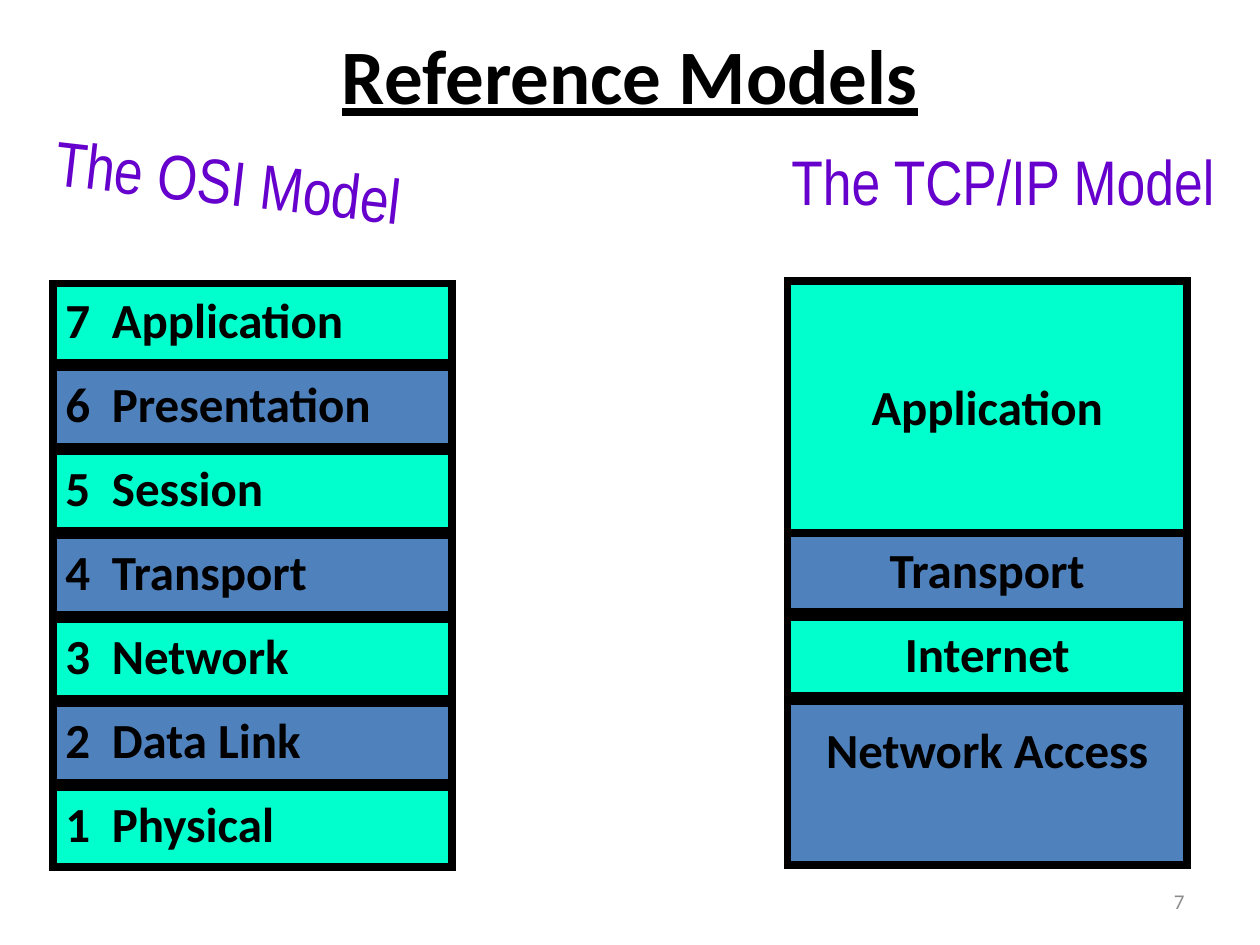
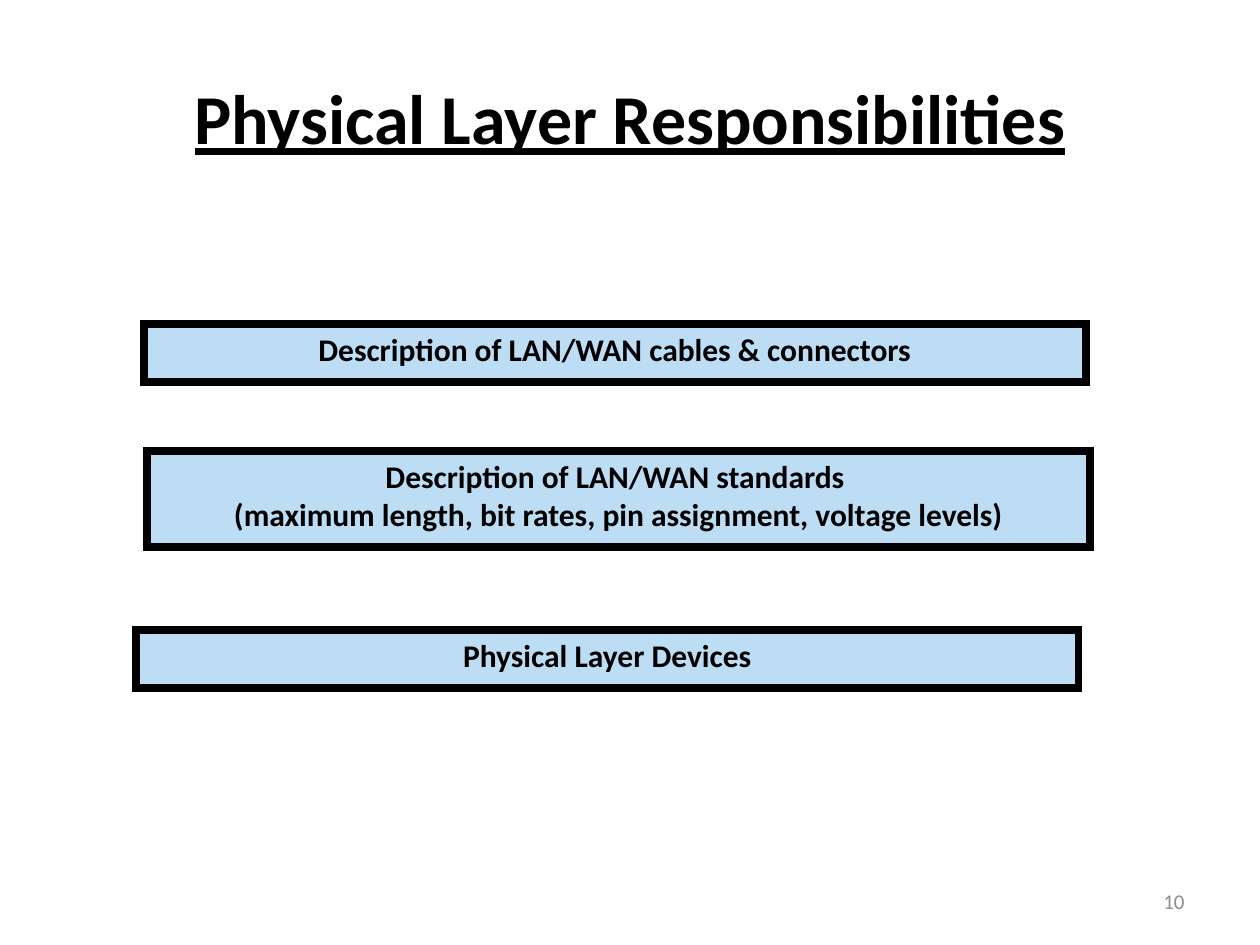
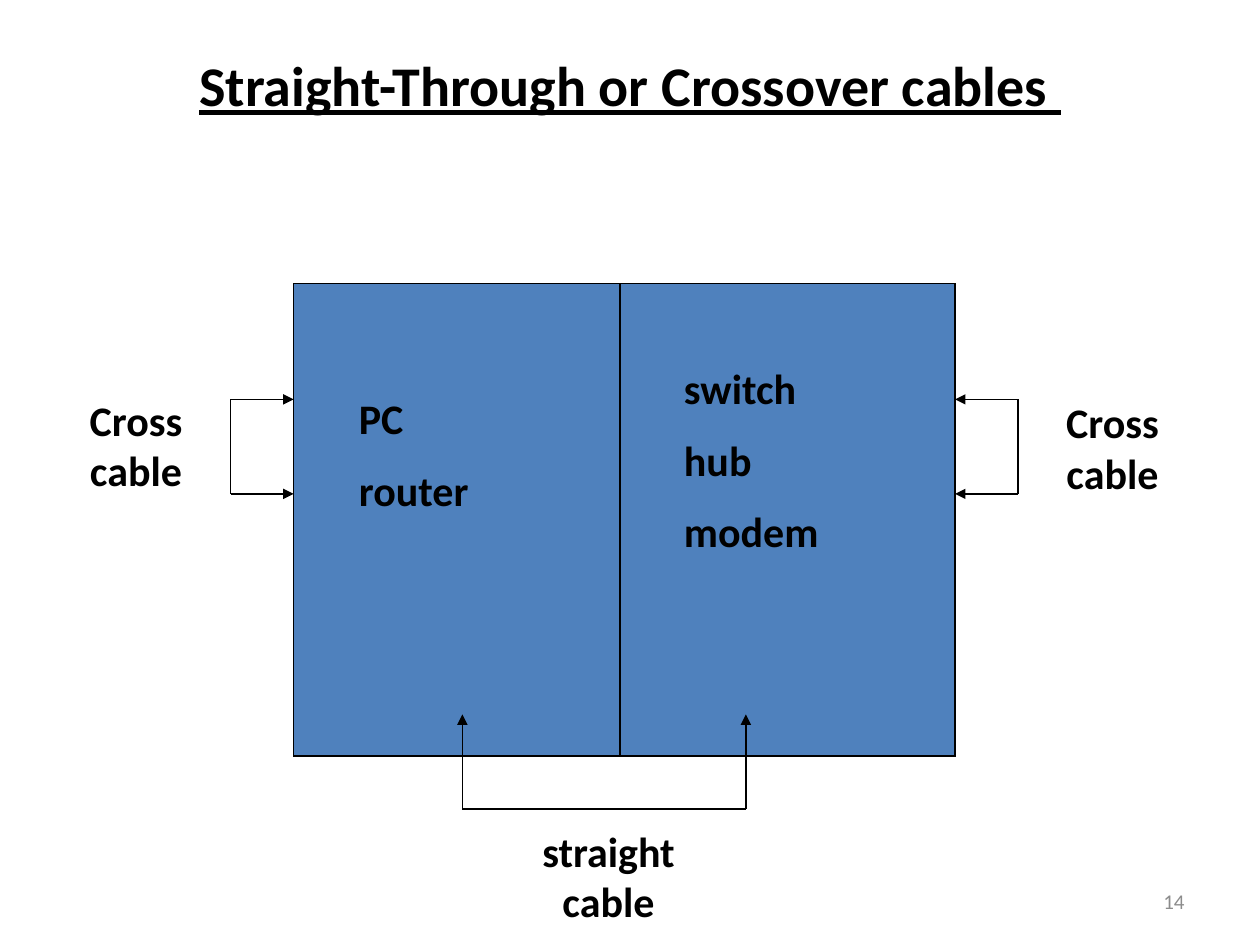
"""Build three slides on network reference models and cabling."""
from lxml import etree
from pptx import Presentation
from pptx.dml.color import RGBColor
from pptx.enum.shapes import MSO_CONNECTOR, MSO_SHAPE
from pptx.enum.text import MSO_ANCHOR, PP_ALIGN
from pptx.oxml.ns import qn
from pptx.util import Inches, Pt

RECTANGLE, STRAIGHT = MSO_SHAPE.RECTANGLE, MSO_CONNECTOR.STRAIGHT
TOP, MIDDLE = MSO_ANCHOR.TOP, MSO_ANCHOR.MIDDLE
LEFT, CENTER, RIGHT = PP_ALIGN.LEFT, PP_ALIGN.CENTER, PP_ALIGN.RIGHT

COLORS = {"ink": "000000", "mint": "00FFCC", "blue": "4F81BD", "sky": "BCDDF4",
          "purple": "6600CC", "number": "8C8C8C"}
BODY = {"name": "Calibri", "bold": True}
TITLE = {**BODY, "underline": True}
LAYER = {**BODY, "size": Pt(28)}
DUTY = {**BODY, "size": Pt(18)}
CABLE = {**BODY, "size": Pt(24)}
HEADING = {"name": "Arial Narrow", "size": Pt(36)}
NUMBER = {"name": "Calibri", "size": Pt(12)}
LAYER_WIDTH = 3.17
LAYER_HEIGHT = 0.63
LAYER_PITCH = 2 / 3
NUMBER_INDENT = 0.37

OSI_LAYERS = ["Application", "Presentation", "Session", "Transport",
              "Network", "Data Link", "Physical"]
TCP_LAYERS = [("Application", 0, 2.03, 0.76), ("Transport", 3, LAYER_HEIGHT, 0.05),
              ("Internet", 4, LAYER_HEIGHT, 0.05), ("Network Access", 5, 1.3, 0.15)]
DUTIES = [
    ((1.14, 2.57, 7.48, 0.46), ["Description of LAN/WAN cables & connectors"]),
    ((1.17, 3.58, 7.48, 0.76),
     ["Description of LAN/WAN standards ",
      "(maximum length, bit rates, pin assignment, voltage levels)"]),
    ((1.08, 5, 7.48, 0.46), ["Physical Layer Devices"]),
]
DEVICES = [((2.75, 3.07, 1.75, 1.1), ["PC", "router"]),
           ((5.33, 2.83, 1.75, 1.7), ["switch", "hub", "modem"])]
CABLE_LABELS = [((0.33, 3.08, 1.5, 0.9), "Cross cable"),
                ((4.08, 6.5, 1.5, 0.9), "straight cable"),
                ((8.08, 3.1, 1.5, 0.9), "Cross cable")]
CABLES = [[(2.33, 3.17), (1.83, 3.17), (1.83, 3.92), (2.33, 3.92)],
          [(3.67, 5.67), (3.67, 6.42), (5.92, 6.42), (5.92, 5.67)],
          [(7.58, 3.17), (8.08, 3.17), (8.08, 3.92), (7.58, 3.92)]]


def rgb(name):
    """Return the named colour."""
    return RGBColor.from_string(COLORS[name])


def apply(target, values):
    """Set each attribute of target from a dict."""
    for attribute, value in values.items():
        setattr(target, attribute, value)


def write(frame, lines, font, color="ink", align=LEFT, gap=0, **layout):
    """Fill a text frame with one paragraph per line."""
    apply(frame, {"word_wrap": True, "vertical_anchor": TOP, **layout})
    for index, line in enumerate(lines):
        paragraph = frame.add_paragraph() if index else frame.paragraphs[0]
        apply(paragraph, {"alignment": align, "space_after": Pt(gap)})
        run = paragraph.add_run()
        run.text = line
        apply(run.font, font)
        run.font.color.rgb = rgb(color)


def add_text(shapes, box, lines, font, **layout):
    """Add a text box and return it."""
    label = shapes.add_textbox(*map(Inches, box))
    write(label.text_frame, lines, font, **layout)
    return label


def draw_outline(part, width):
    """Give a shape or connector a dark line and return its XML."""
    part.line.color.rgb = rgb("ink")
    part.line.width = Pt(width)
    return part.element.spPr.find(qn("a:ln"))


def add_box(shapes, box, fill, line_width):
    """Add a filled rectangle with a dark, square-cornered outline."""
    panel = shapes.add_shape(RECTANGLE, *map(Inches, box))
    panel.shadow.inherit = False
    panel.fill.solid()
    panel.fill.fore_color.rgb = rgb(fill)
    etree.SubElement(draw_outline(panel, line_width), qn("a:miter"), lim="800000")
    return panel


def add_line(shapes, start, end, arrow=False):
    """Add a thin line, with an arrowhead at its end if asked."""
    line = shapes.add_connector(STRAIGHT, *map(Inches, (*start, *end)))
    outline = draw_outline(line, 0.75)
    if arrow:
        etree.SubElement(outline, qn("a:tailEnd"), type="triangle")
    etree.SubElement(line.element.spPr, qn("a:effectLst"))


def add_cable(shapes, points):
    """Draw a three-sided cable with arrowheads at both ends."""
    start, first_corner, second_corner, end = points
    add_line(shapes, first_corner, start, arrow=True)
    add_line(shapes, first_corner, second_corner)
    add_line(shapes, second_corner, end, arrow=True)


def add_slide(deck, title, title_size, title_box, number):
    """Add a slide with its title and number and return its shapes."""
    shapes = deck.slides.add_slide(deck.slide_layouts[6]).shapes
    add_text(shapes, (7.17, 6.95, 2.33, 0.4), [str(number)], NUMBER,
             color="number", align=RIGHT, vertical_anchor=MIDDLE)
    add_text(shapes, title_box, [title], {**TITLE, "size": Pt(title_size)},
             align=CENTER, vertical_anchor=MIDDLE)
    return shapes


def add_osi_stack(shapes):
    """Stack the seven numbered layers."""
    indent = Inches(NUMBER_INDENT)
    for index, layer in enumerate(OSI_LAYERS):
        box = (0.42, 2.25 + index * LAYER_PITCH, LAYER_WIDTH, LAYER_HEIGHT)
        panel = add_box(shapes, box, ("mint", "blue")[index % 2], 4.5)
        write(panel.text_frame, [f"{len(OSI_LAYERS) - index}\t{layer}"], LAYER)
        layer_format = panel.text_frame.paragraphs[0]._p.get_or_add_pPr()
        layer_format.set("marL", str(indent))
        layer_format.set("indent", str(-indent))


def add_tcp_stack(shapes):
    """Stack the four layers level with their counterparts."""
    for index, (layer, row, height, margin) in enumerate(TCP_LAYERS):
        box = (6.25, 2.23 + row * LAYER_PITCH, LAYER_WIDTH, height)
        panel = add_box(shapes, box, ("mint", "blue")[index % 2], 4.5)
        write(panel.text_frame, [layer], LAYER, align=CENTER, margin_top=Inches(margin))


def add_heading(shapes, box, heading, rotation=0):
    """Add a one-line purple heading above a stack."""
    label = add_text(shapes, box, [heading], HEADING, color="purple",
                     align=CENTER, margin_left=0, margin_right=0)
    label.rotation = rotation


def build_models(deck):
    """Compare the two reference models."""
    shapes = add_slide(deck, "Reference Models", 44, (0, 0.17, 10, 0.83), 7)
    add_osi_stack(shapes)
    add_tcp_stack(shapes.add_group_shape().shapes)
    add_heading(shapes, (6.16, 1.08, 3.6, 1.04), "The TCP/IP Model")
    add_heading(shapes, (0.29, 1.08, 3, 1.12), "The OSI Model", 6.6)


def build_duties(deck):
    """List what the physical layer covers."""
    shapes = add_slide(deck, "Physical Layer Responsibilities", 40, (0.5, 0.3, 9, 1.25), 10)
    for box, lines in DUTIES:
        write(add_box(shapes, box, "sky", 4.5).text_frame, lines, DUTY, align=CENTER)


def build_cables(deck):
    """Show which cable joins which devices."""
    shapes = add_slide(deck, "Straight-Through or Crossover cables ", 32,
                       (0.5, 0.17, 9, 1), 14)
    add_box(shapes, (2.33, 2.25, 5.25, 3.75), "blue", 0.75)
    add_line(shapes, (4.92, 2.25), (4.92, 6))
    for box, devices in DEVICES:
        add_text(shapes, box, devices, CABLE, gap=12)
    for box, label in CABLE_LABELS:
        add_text(shapes, box, [label], CABLE, align=CENTER)
    for points in CABLES:
        add_cable(shapes, points)


def main():
    """Build and save the deck."""
    deck = Presentation()
    apply(deck, {"slide_width": Inches(10), "slide_height": Inches(7.5)})
    build_models(deck)
    build_duties(deck)
    build_cables(deck)
    deck.save("out.pptx")


if __name__ == "__main__":
    main()
